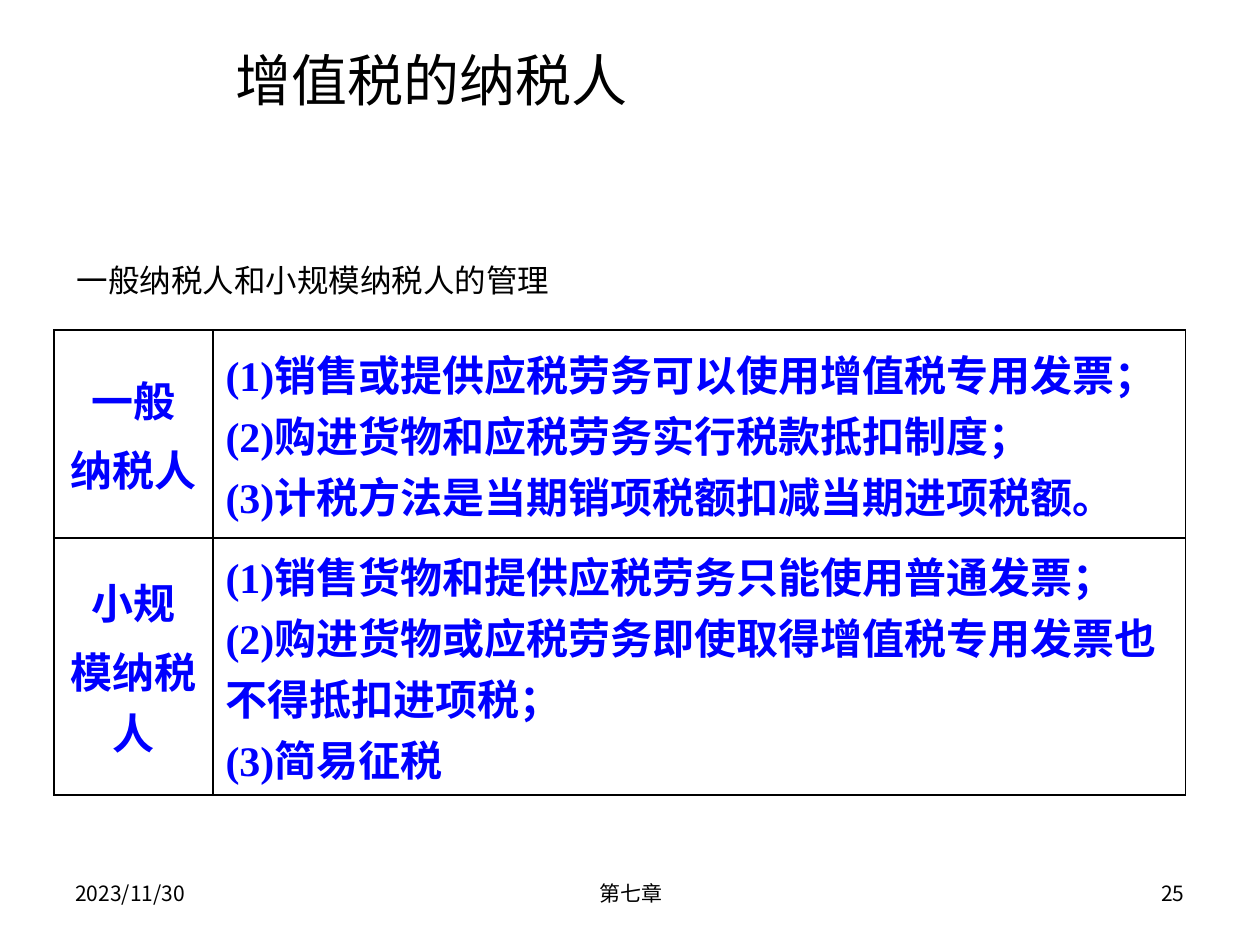
from pptx import Presentation
from pptx.dml.color import RGBColor
from pptx.enum.text import MSO_ANCHOR as Anchor, PP_ALIGN as Align
from pptx.oxml.ns import qn
from pptx.util import Inches, Pt
from lxml.etree import SubElement

BLACK = RGBColor(0, 0, 0)
BLUE = RGBColor(0, 0, 255)
SANS = "Noto Sans CJK SC"
SERIF = "Times New Roman"


def style(para, size, color, latin, align, bold=False):
    para.alignment = align
    font = para.font
    font.size, font.bold, font.name = Pt(size), bold, latin
    font.color.rgb = color
    props = para._p.pPr.find(qn("a:defRPr"))
    SubElement(props, qn("a:ea")).set("typeface", SANS)


def frame(cell):
    """Give a cell a plain background and thin black borders."""
    props = cell._tc.get_or_add_tcPr()
    for side in ("lnL", "lnR", "lnT", "lnB"):
        line = SubElement(props, qn(f"a:{side}"), w=str(Pt(1)))
        fill = SubElement(line, qn("a:solidFill"))
        SubElement(fill, qn("a:srgbClr"), val=str(BLACK))
    cell.fill.background()


deck = Presentation()
deck.slide_width, deck.slide_height = Inches(10), Inches(7.5)
slide = deck.slides.add_slide(deck.slide_layouts[6])

# Footer, title and subtitle
labels = [
    ("2023/11/30", 0.5, 6.83, 2.33, 0.52, 12, Align.LEFT, Anchor.MIDDLE),
    ("第七章", 3.42, 6.83, 3.17, 0.52, 12, Align.CENTER, Anchor.MIDDLE),
    ("25", 7.17, 6.83, 2.33, 0.52, 12, Align.RIGHT, Anchor.MIDDLE),
    ("增值税的纳税人", 1.77, 0.31, 3.4, 0.63, 32, Align.LEFT, Anchor.TOP),
    ("一般纳税人和小规模纳税人的管理", 0.51, 2.02, 6.14, 0.4, 18,
     Align.LEFT, Anchor.TOP),
]
for text, left, top, width, height, size, align, anchor in labels:
    box = slide.shapes.add_textbox(
        Inches(left), Inches(top), Inches(width), Inches(height))
    body = box.text_frame
    body.word_wrap = True
    body.vertical_anchor = anchor
    body.text = text
    style(body.paragraphs[0], size, BLACK, SANS, align)

# Taxpayer table
rows = [
    (1.65, "一般\n纳税人",
     "(1)销售或提供应税劳务可以使用增值税专用发票；\n"
     "(2)购进货物和应税劳务实行税款抵扣制度；\n"
     "(3)计税方法是当期销项税额扣减当期进项税额。"),
    (2.04, "小规\n模纳税人",
     "(1)销售货物和提供应税劳务只能使用普通发票；\n"
     "(2)购进货物或应税劳务即使取得增值税专用发票也不得抵扣进项税；\n"
     "(3)简易征税"),
]
total = sum(row[0] for row in rows)
table = slide.shapes.add_table(
    2, 2, Inches(0.43), Inches(2.62), Inches(8.98), Inches(total)).table
table.columns[0].width = Inches(1.26)
table.columns[1].width = Inches(7.72)
for r, (height, *texts) in enumerate(rows):
    table.rows[r].height = Inches(height)
    for c, text in enumerate(texts):
        cell = table.cell(r, c)
        cell.text = text
        cell.vertical_anchor = Anchor.MIDDLE
        frame(cell)
        for n, para in enumerate(cell.text_frame.paragraphs):
            if c == 0 and n > 0:
                para.space_before = Pt(4.8)
            align = Align.LEFT if c else Align.CENTER
            style(para, 24, BLUE, SERIF, align, bold=True)

deck.save("out.pptx")
